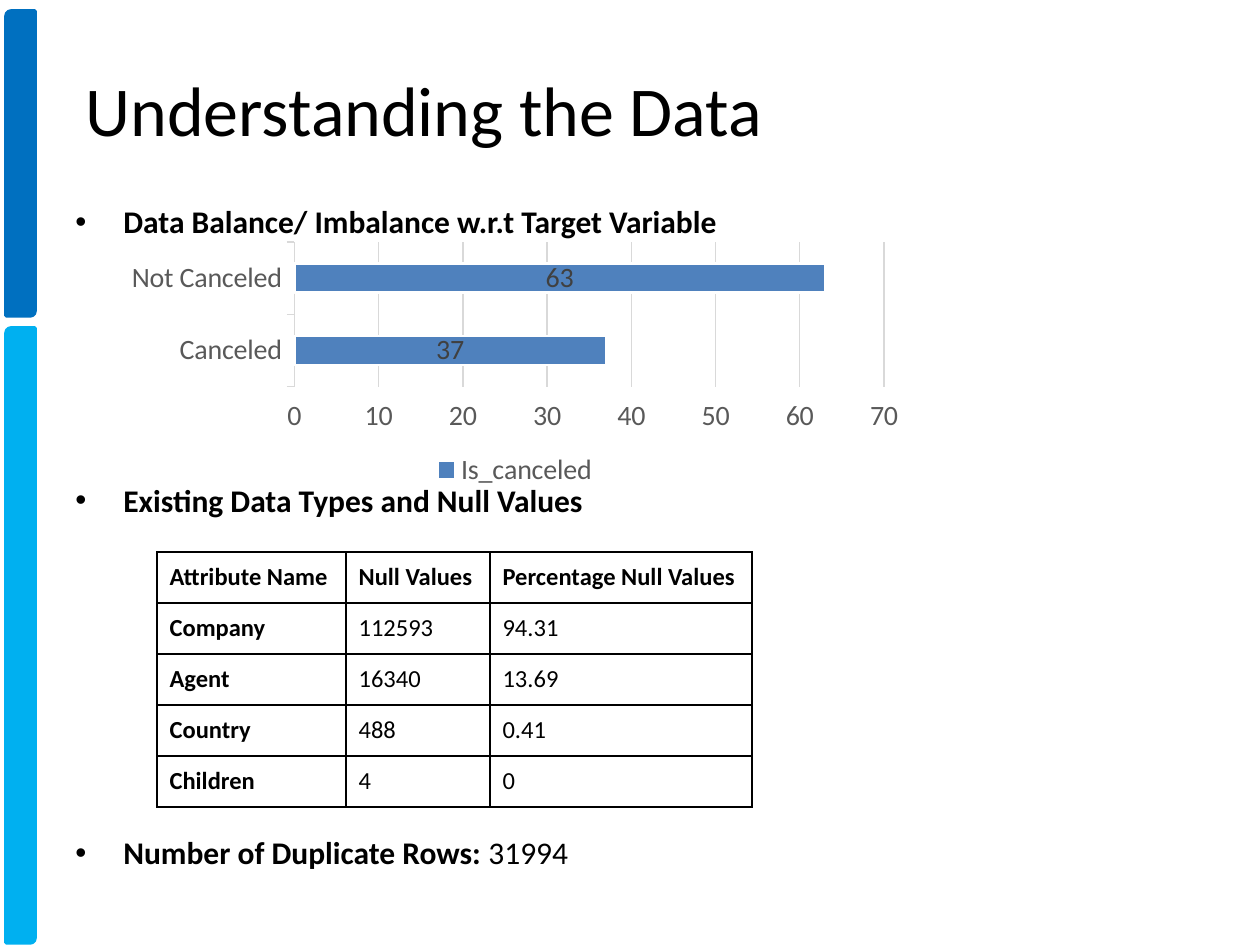
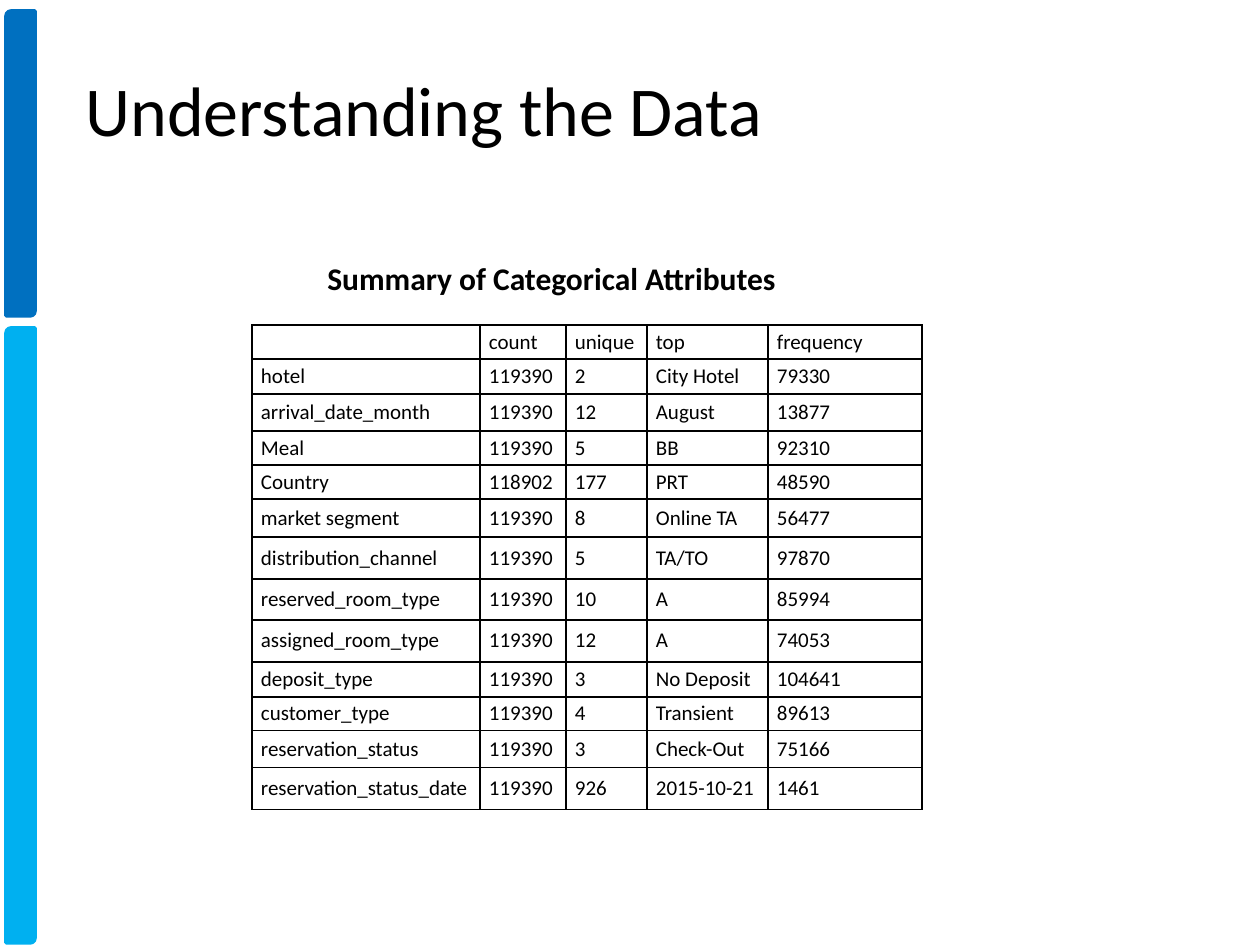
from lxml.etree import SubElement
from pptx import Presentation
from pptx.chart.data import CategoryChartData
from pptx.dml.color import RGBColor
from pptx.enum.chart import XL_CHART_TYPE, XL_LEGEND_POSITION, XL_TICK_MARK
from pptx.enum.shapes import MSO_SHAPE
from pptx.enum.text import MSO_ANCHOR, MSO_AUTO_SIZE, PP_ALIGN
from pptx.oxml.ns import qn
from pptx.util import Emu, Pt

FONT = "Calibri"
BLACK = RGBColor(0x00, 0x00, 0x00)
WHITE = RGBColor(0xFF, 0xFF, 0xFF)
DEEP = RGBColor(0x00, 0x70, 0xC0)
SKY = RGBColor(0x00, 0xB0, 0xF0)
STEEL = RGBColor(0x4F, 0x81, 0xBD)
DARK = RGBColor(0x40, 0x40, 0x40)
GREY = RGBColor(0x59, 0x59, 0x59)
PALE = RGBColor(0xD9, 0xD9, 0xD9)

TITLE = "Understanding the Data"
TITLE_BOX = (73, 60, 1177, 97)
BANDS = [(DEEP, (6, 11, 29, 305)), (SKY, (6, 328, 29, 615))]

# Each point: space before in points, then (text, bold) runs
POINTS = [
    (0, [("Data Balance/ Imbalance w.r.t Target Variable", True)]),
    (137.5, [("Existing Data Types and Null Values", True)]),
    (180, [("Number of Duplicate Rows: ", True), ("31994", False)]),
]
POINT_BOX = (63, 196, 1134, 749)
INDENT = 48

BALANCE = {"Canceled": 37, "Not Canceled": 63}
CHART_BOX = (116, 237, 798, 256)

NULLS = [
    ("Attribute Name", "Null Values", "Percentage Null Values"),
    ("Company", "112593", "94.31"),
    ("Agent", "16340", "13.69"),
    ("Country", "488", "0.41"),
    ("Children", "4", "0"),
]
NULL_COLS = [189, 144, 262]
NULL_ROWS = [51] * len(NULLS)

CAPTION = "Summary of Categorical Attributes"
SUMMARY = [
    ("", "count", "unique", "top", "frequency"),
    ("hotel", "119390", "2", "City Hotel", "79330"),
    ("arrival_date_month", "119390", "12", "August", "13877"),
    ("Meal", "119390", "5", "BB", "92310"),
    ("Country", "118902", "177", "PRT", "48590"),
    ("market segment", "119390", "8", "Online TA", "56477"),
    ("distribution_channel", "119390", "5", "TA/TO", "97870"),
    ("reserved_room_type", "119390", "10", "A", "85994"),
    ("assigned_room_type", "119390", "12", "A", "74053"),
    ("deposit_type", "119390", "3", "No Deposit", "104641"),
    ("customer_type", "119390", "4", "Transient", "89613"),
    ("reservation_status", "119390", "3", "Check-Out", "75166"),
    ("reservation_status_date", "119390", "926", "2015-10-21", "1461"),
]
SUM_COLS = [228, 86, 81, 121, 154]
SUM_ROWS = [34, 35, 37, 34, 34, 38, 42, 41, 42, 35, 34, 37, 42]


def px(n):
    """Turn pixels (126 to the inch) into EMU."""
    return Emu(round(n * 914400 / 126))


def area(box):
    """Turn a pixel box into EMU lengths."""
    return [px(n) for n in box]


def style(font, size, color=BLACK, bold=False):
    """Set the shared font with a size, colour and weight."""
    font.name, font.size, font.bold = FONT, Pt(size), bold
    font.color.rgb = color


def write(para, text, size, bold=False):
    """Add one styled run to a paragraph."""
    run = para.add_run()
    run.text = text
    style(run.font, size, bold=bold)


def add_bands(slide, layout):
    """Draw the side bands and hand them to the shared layout."""
    for i, (color, box) in enumerate(BANDS):
        band = slide.shapes.add_shape(MSO_SHAPE.ROUND_2_DIAG_RECTANGLE, *area(box))
        band.shadow.inherit = False
        band.fill.solid()
        band.fill.fore_color.rgb = color
        band.line.color.rgb = color
        band.line.width = Pt(2)
        band.element.nvSpPr.cNvPr.set("id", str(100 + i))
        layout.shapes.element.append(band.element)


def add_title(slide):
    """Place and fill the title."""
    title = slide.shapes.title
    title.left, title.top, title.width, title.height = area(TITLE_BOX)
    frame = title.text_frame
    frame.word_wrap = True
    frame.auto_size = MSO_AUTO_SIZE.NONE
    frame.vertical_anchor = MSO_ANCHOR.TOP
    frame.paragraphs[0].alignment = PP_ALIGN.LEFT
    write(frame.paragraphs[0], TITLE, 40)


def add_frame(slide, box):
    """Add a wrapping text box and return its text frame."""
    frame = slide.shapes.add_textbox(*area(box)).text_frame
    frame.word_wrap = True
    return frame


def add_points(slide):
    """Write the bullets, spaced to leave room for chart and table."""
    frame = add_frame(slide, POINT_BOX)
    for i, (space, runs) in enumerate(POINTS):
        para = frame.add_paragraph() if i else frame.paragraphs[0]
        para.space_before = Pt(space)
        props = para._p.get_or_add_pPr()
        props.set("marL", str(px(INDENT)))
        props.set("indent", str(-px(INDENT)))
        SubElement(props, qn("a:buFont"), typeface="Arial")
        SubElement(props, qn("a:buChar"), char="\u2022")
        for text, bold in runs:
            write(para, text, 18, bold)


def add_edges(cell):
    """Draw a thin black line on all sides of a cell."""
    props = cell._tc.get_or_add_tcPr()
    for side in ("lnL", "lnR", "lnT", "lnB"):
        line = SubElement(props, qn("a:" + side), w=str(Pt(1)))
        fill = SubElement(line, qn("a:solidFill"))
        SubElement(fill, qn("a:srgbClr"), val=str(BLACK))


def add_grid(slide, spot, rows, cols, tall, size, heads=False, pad=None):
    """Add a ruled table; heads makes first row and column bold."""
    box = (*spot, sum(cols), sum(tall))
    table = slide.shapes.add_table(len(rows), len(cols), *area(box)).table
    table.first_row = table.horz_banding = False
    for col, wide in zip(table.columns, cols):
        col.width = px(wide)
    for r, row in enumerate(rows):
        table.rows[r].height = px(tall[r])
        for c, text in enumerate(row):
            cell = table.cell(r, c)
            add_edges(cell)
            cell.fill.background()
            cell.vertical_anchor = MSO_ANCHOR.MIDDLE
            if pad:
                cell.margin_left = cell.margin_right = px(pad[0])
                cell.margin_top = cell.margin_bottom = px(pad[1])
            para = cell.text_frame.paragraphs[0]
            if text:
                write(para, text, size, heads and (r == 0 or c == 0))
            else:
                SubElement(para._p, qn("a:endParaRPr"), sz=str(size * 100))


def add_bars(slide):
    """Add the bar chart of the target variable."""
    data = CategoryChartData()
    data.categories = list(BALANCE)
    data.add_series("Is_canceled", list(BALANCE.values()))
    chart = slide.shapes.add_chart(
        XL_CHART_TYPE.BAR_STACKED, *area(CHART_BOX), data).chart
    style(chart.font, 16)
    chart.has_title = False
    chart.has_legend = True
    chart.legend.position = XL_LEGEND_POSITION.BOTTOM
    chart.legend.include_in_layout = False
    style(chart.legend.font, 16, GREY)

    cat, val = chart.category_axis, chart.value_axis
    for axis in (cat, val):
        axis.major_tick_mark = XL_TICK_MARK.OUTSIDE
        style(axis.tick_labels.font, 16, GREY)
    val.minimum_scale, val.maximum_scale, val.major_unit = 0, 70, 10
    val.has_major_gridlines = True
    val.format.line.fill.background()
    for line in (cat.format.line, val.major_gridlines.format.line):
        line.color.rgb = PALE
        line.width = Pt(0.75)

    plot = chart.plots[0]
    plot.gap_width, plot.overlap = 150, 100
    plot.vary_by_categories = False
    bars = plot.series[0]
    bars.format.fill.solid()
    bars.format.fill.fore_color.rgb = STEEL
    bars.format.line.color.rgb = WHITE
    bars.format.line.width = Pt(1.5)
    bars.data_labels.show_value = True
    style(bars.data_labels.font, 16, DARK)


deck = Presentation()
deck.slide_width, deck.slide_height = px(1260), px(945)
layout = deck.slide_layouts[5]

first = deck.slides.add_slide(layout)
add_bands(first, layout)
add_points(first)
add_title(first)
add_grid(first, (157, 552), NULLS, NULL_COLS, NULL_ROWS, 14, heads=True)
add_bars(first)

second = deck.slides.add_slide(layout)
add_grid(second, (252, 325), SUMMARY, SUM_COLS, SUM_ROWS, 12, pad=(9, 4))
add_title(second)
caption = add_frame(second, (315, 253, 893, 50))
write(caption.paragraphs[0], CAPTION, 18, True)

deck.save("out.pptx")
